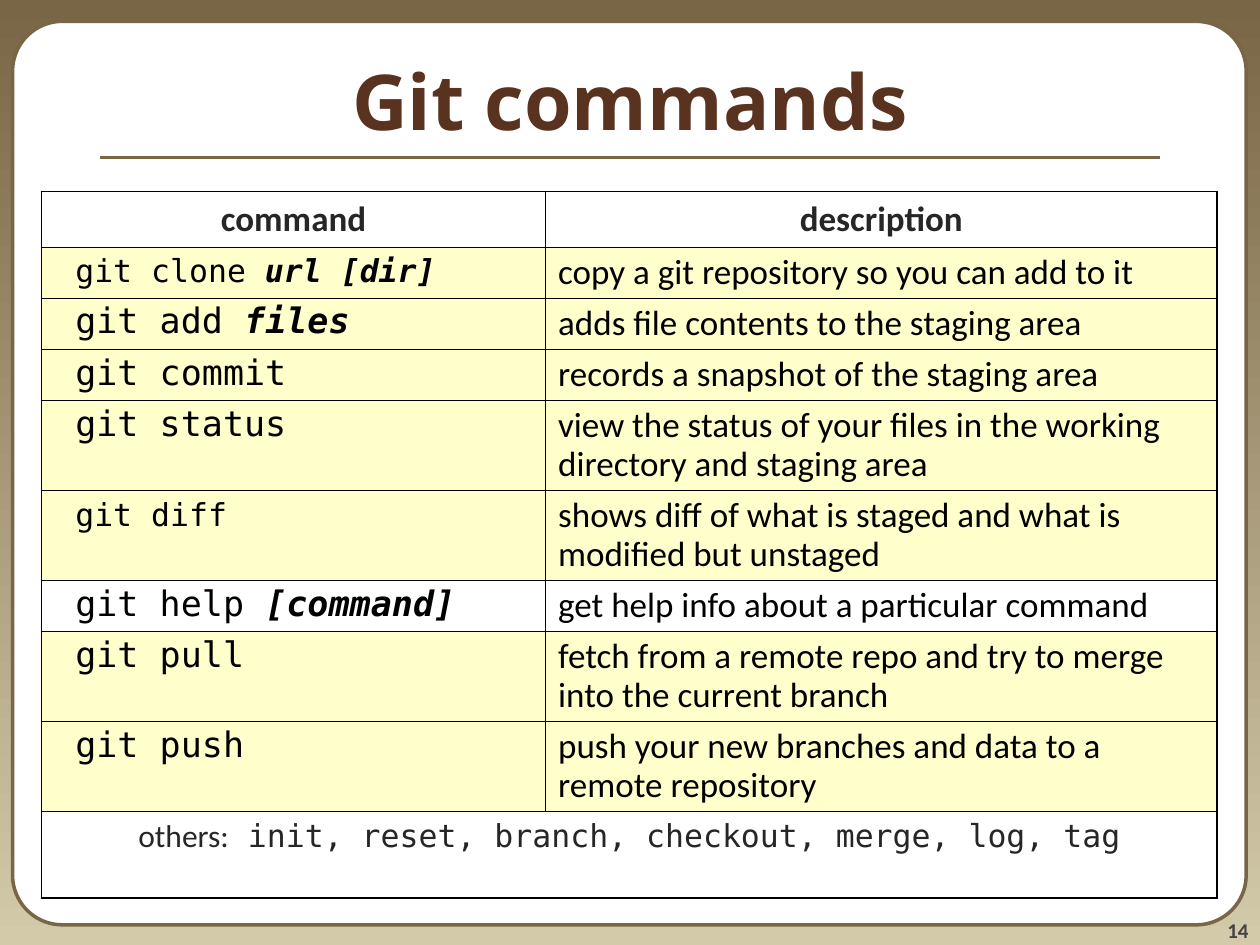
"""Build the slide that lists common Git commands in a table."""
from lxml import etree
from pptx import Presentation
from pptx import util as u
from pptx.dml.color import RGBColor
from pptx.enum import shapes, text
from pptx.oxml.ns import qn

BROWN = RGBColor(0x79, 0x66, 0x46)
SAND = RGBColor(0xD3, 0xCA, 0xAA)
RUST = RGBColor(0x5A, 0x33, 0x20)
CREAM = RGBColor(0xFF, 0xFF, 0xCC)
WHITE = RGBColor(0xFF, 0xFF, 0xFF)
BLACK = RGBColor(0, 0, 0)
DARK = RGBColor(0x26, 0x26, 0x26)
GRAY = RGBColor(0x42, 0x42, 0x42)
SANS, MONO, HEAD = "Calibri", "DejaVu Sans Mono", "Noto Sans"

TITLE = "Git commands"
HEADS = ("command", "description")
ROWS = [
    ("git clone ", "url [dir]", 18, CREAM, "copy a git repository so you can add to it"),
    ("git add ", "files", 20, CREAM, "adds file contents to the staging area"),
    ("git commit", "", 20, CREAM, "records a snapshot of the staging area"),
    ("git status", "", 20, CREAM,
     "view the status of your files in the working directory and staging area"),
    ("git diff", "", 18, CREAM,
     "shows diff of what is staged and what is modified but unstaged"),
    ("git help ", "[command]", 20, WHITE, "get help info about a particular command"),
    ("git pull", "", 20, CREAM,
     "fetch from a remote repo and try to merge into the current branch"),
    ("git push", "", 20, CREAM, "push your new branches and data to a remote repository"),
]
OTHERS = ("others:", " init, reset, branch, checkout, merge, log, tag")
COLS = (4, 5.33)
ONE, TWO, WRAP = 0.4, 0.7, 45
TALL = [0.43] + [TWO if len(row[-1]) > WRAP else ONE for row in ROWS] + [0.69]
LAST = len(TALL) - 1


def style(run, size, face, color, bold=False, slant=False):
    """Format one run."""
    font = run.font
    font.size, font.name, font.bold, font.italic = u.Pt(size), face, bold, slant
    font.color.rgb = color


def write(para, parts, before=5, align=None, lead=None):
    """Fill a paragraph with (text, size, face, color, bold, slant) parts."""
    para.space_before, para.alignment, para.line_spacing = u.Pt(before), align, lead
    for words, *look in parts:
        run = para.add_run()
        run.text = words
        style(run, *look)


def edge(cell, side, width):
    """Draw one border of a cell."""
    props = cell._tc.get_or_add_tcPr()
    line = etree.SubElement(props, qn("a:ln" + side), w=str(u.Pt(width)))
    fill = etree.SubElement(line, qn("a:solidFill"))
    etree.SubElement(fill, qn("a:srgbClr"), val=str(BLACK))


deck = Presentation()
deck.slide_width, deck.slide_height = u.Inches(10), u.Inches(7.5)
slide = deck.slides.add_slide(deck.slide_layouts[5])
back = slide.background.fill
back.gradient()
back.gradient_angle = 270
for stop, color, spot in zip(back.gradient_stops, (BROWN, SAND), (0, 1)):
    stop.color.rgb, stop.position = color, spot

card = slide.shapes.add_shape(
    shapes.MSO_SHAPE.ROUNDED_RECTANGLE, *map(u.Inches, (0.1, 0.17, 9.79, 7.17)))
card.adjustments[0] = 0.055
card.shadow.inherit = False
card.fill.solid()
card.fill.fore_color.rgb = WHITE
card.line.color.rgb, card.line.width = BROWN, u.Pt(2)

page = slide.shapes.add_textbox(*map(u.Inches, (9.08, 7.08, 0.83, 0.4))).text_frame
page.margin_left = page.margin_right = page.margin_top = page.margin_bottom = 0
page.word_wrap, page.vertical_anchor = True, text.MSO_ANCHOR.BOTTOM
write(page.paragraphs[0], [("14", 12, SANS, GRAY, True)], align=text.PP_ALIGN.RIGHT)

rule = slide.shapes.add_connector(
    shapes.MSO_CONNECTOR.STRAIGHT, *map(u.Inches, (0.79, 1.25, 9.21, 1.25)))
rule.line.color.rgb, rule.line.width = BROWN, u.Pt(2.25)
etree.SubElement(rule._element.spPr, qn("a:effectLst"))

title = slide.shapes.title
title.left, title.top, title.width, title.height = map(u.Inches, (0, 0.17, 10, 1.25))
title.text_frame.text = TITLE
title.text_frame.vertical_anchor = text.MSO_ANCHOR.MIDDLE
title.text_frame.paragraphs[0].alignment = text.PP_ALIGN.CENTER
style(title.text_frame.paragraphs[0].runs[0], 44, HEAD, RUST, True)
rule._element.addnext(title._element)

grid = slide.shapes.add_table(
    len(TALL), 2, *map(u.Inches, (0.33, 1.52, sum(COLS), sum(TALL)))).table
for col, wide in zip(grid.columns, COLS):
    col.width = u.Inches(wide)
for row, tall in zip(grid.rows, TALL):
    row.height = u.Inches(tall)
grid.cell(LAST, 0).merge(grid.cell(LAST, 1))

for r in range(len(TALL)):
    for c in range(2):
        cell = grid.cell(r, c)
        outer = {"L": c == 0, "R": c == 1 or r == LAST, "T": r == 0, "B": r == LAST}
        for side, thick in outer.items():
            edge(cell, side, 1.08 if thick else 0.45)
        cell.fill.solid()
        cell.fill.fore_color.rgb = ROWS[r - 1][3] if 0 < r < LAST else WHITE

for c, head in enumerate(HEADS):
    write(grid.cell(0, c).text_frame.paragraphs[0],
          [(head, 20, SANS, DARK, True)], align=text.PP_ALIGN.CENTER)
for r, (verb, arg, size, _, about) in enumerate(ROWS, 1):
    parts = [(" ", 20, MONO, BLACK), (verb, size, MONO, BLACK)]
    if arg:
        parts.append((arg, size, MONO, BLACK, True, True))
    write(grid.cell(r, 0).text_frame.paragraphs[0], parts, size / 4, lead=0.9)
    write(grid.cell(r, 1).text_frame.paragraphs[0], [(about, 20, SANS, BLACK)], lead=0.9)
write(grid.cell(LAST, 0).text_frame.paragraphs[0],
      [(words, 18, face, DARK) for words, face in zip(OTHERS, (SANS, MONO))],
      4.5, text.PP_ALIGN.CENTER)

deck.save("out.pptx")
